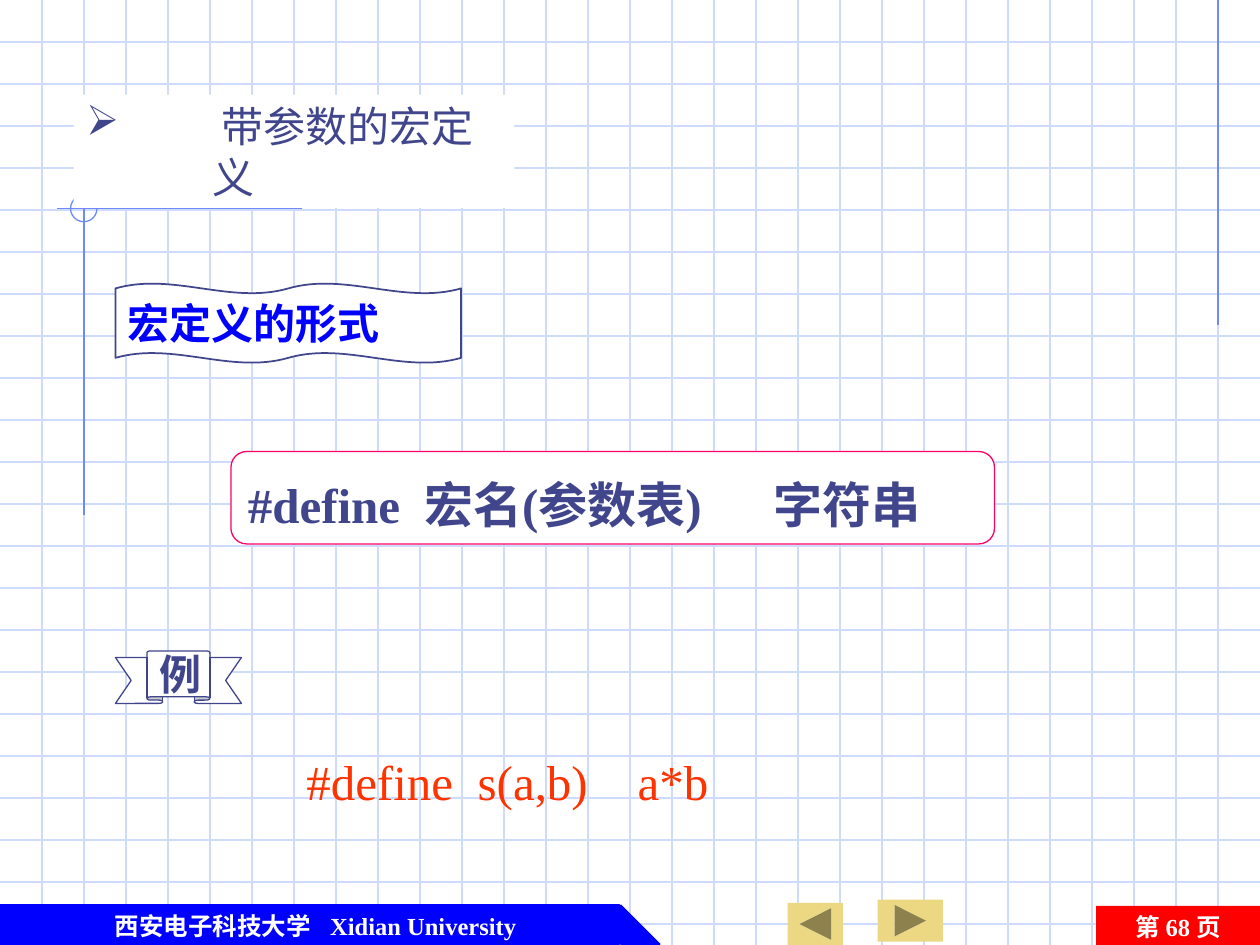
from dataclasses import dataclass

from lxml import etree
from pptx import Presentation
from pptx import util as u
from pptx.dml.color import RGBColor
from pptx.enum import shapes, text
from pptx.oxml import ns

KIND = shapes.MSO_SHAPE
COLUMNS, ROWS = 30, 22.5


@dataclass(frozen=True)
class Theme:
    ink: str = "40458C"
    paper: str = "FFFFFF"
    grid: str = "CFDBFD"
    accent: str = "6F89F7"
    blue: str = "0000FF"
    red: str = "FF0000"
    pink: str = "FF0066"
    orange: str = "FF3300"
    button: str = "ECD882"
    sans: str = "Cabin"
    serif: str = "Times New Roman"
    chinese: str = "Noto Sans CJK SC"
    small: int = 14
    medium: int = 24
    large: int = 28
    thin: float = 0.75


def write(box, content, *, theme, size, color, font, bold=False, align="LEFT",
          anchor="TOP", wrap=True, before=0, spacing=None, inset=0.1,
          bullet=None, hanging=0, tabs=()):
    """Fill a shape with one paragraph; tabs, inset and hanging are in inches."""
    frame = box.text_frame
    frame.auto_size = text.MSO_AUTO_SIZE.NONE
    frame.word_wrap = wrap
    frame.vertical_anchor = text.MSO_ANCHOR[anchor]
    frame.margin_left = u.Inches(inset)
    frame.margin_right = u.Inches(0.1)
    frame.margin_top = frame.margin_bottom = u.Inches(0.05)
    para = frame.paragraphs[0]
    para.alignment = text.PP_ALIGN[align]
    para.space_before = u.Pt(before)
    if spacing:
        para.line_spacing = spacing
    span = para.add_run()
    span.text = content
    span.font.size = u.Pt(size)
    span.font.bold = bold
    span.font.name = font
    span.font.color.rgb = RGBColor.from_string(color)
    east_asian = etree.SubElement(span.font._element, ns.qn("a:ea"))
    east_asian.set("typeface", theme.chinese)

    properties = para._p.get_or_add_pPr()
    if bullet:
        properties.set("marL", str(u.Inches(hanging)))
        properties.set("indent", str(-u.Inches(hanging)))
        paint = etree.SubElement(properties, ns.qn("a:buClr"))
        etree.SubElement(paint, ns.qn("a:srgbClr")).set("val", color)
        etree.SubElement(properties, ns.qn("a:buChar")).set("char", bullet)
    if tabs:
        stops = etree.SubElement(properties, ns.qn("a:tabLst"))
        for position in tabs:
            stop = etree.SubElement(stops, ns.qn("a:tab"))
            stop.set("pos", str(u.Inches(position)))
            stop.set("algn", "l")


class Canvas:
    """Draws on one slide, measuring in columns and rows of its grid."""

    def __init__(self, deck, theme):
        self.deck, self.theme = deck, theme
        self.page = deck.slides.add_slide(deck.slide_layouts[5])

    def x(self, columns):
        return u.Emu(round(self.deck.slide_width * columns / COLUMNS))

    def y(self, rows):
        return u.Emu(round(self.deck.slide_height * rows / ROWS))

    def area(self, left, top, width, height):
        return self.x(left), self.y(top), self.x(width), self.y(height)

    def line(self, x1, y1, x2, y2, color):
        rule = self.page.shapes.add_connector(
            shapes.MSO_CONNECTOR.STRAIGHT,
            self.x(x1), self.y(y1), self.x(x2), self.y(y2))
        rule.line.color.rgb = RGBColor.from_string(color)
        rule.line.width = u.Pt(self.theme.thin)
        etree.SubElement(rule._element.spPr, ns.qn("a:effectLst"))

    def shape(self, kind, area, fill=None, line=None, width=None, adjust=()):
        box = self.page.shapes.add_shape(kind, *self.area(*area))
        box.shadow.inherit = False
        if fill:
            box.fill.solid()
            box.fill.fore_color.rgb = RGBColor.from_string(fill)
        else:
            box.fill.background()
        if line:
            box.line.color.rgb = RGBColor.from_string(line)
            box.line.width = u.Pt(width or self.theme.thin)
        else:
            box.line.fill.background()
        for index, value in enumerate(adjust):
            box.adjustments[index] = value
        return box

    def label(self, box, content, **style):
        write(box, content, theme=self.theme, **style)

    def text_box(self, area, content, **style):
        box = self.page.shapes.add_textbox(*self.area(*area))
        self.label(box, content, **style)

    def title(self, area, content, **style):
        """Place the title placeholder in front of everything drawn so far."""
        box = self.page.shapes.title
        box.left, box.top, box.width, box.height = self.area(*area)
        box.fill.solid()
        box.fill.fore_color.rgb = RGBColor.from_string(self.theme.paper)
        self.page.shapes._spTree.append(box._element)
        self.label(box, content, **style)


def draw_background(canvas):
    theme = canvas.theme
    for row in range(1, 23):
        canvas.line(0, row, COLUMNS, row, theme.grid)
    for column in range(1, COLUMNS):
        canvas.line(column, 0, column, ROWS, theme.grid)
    canvas.line(29, 0, 29, 7.75, theme.accent)
    canvas.line(7.2, 4.97, 1.35, 4.97, theme.accent)
    canvas.line(2, 4.65, 2, 12.27, theme.accent)
    # Arc angles: 0 and 270 degrees, in units of 100000/60000 degree
    canvas.shape(KIND.ARC, (1.68, 4.65, 0.63, 0.63), line=theme.accent,
                 adjust=(0, 162))


def draw_footer(canvas):
    theme = canvas.theme
    style = dict(size=theme.small, color=theme.paper, font=theme.serif,
                 bold=True, before=8.8)
    for kind, left, width in ((KIND.RECTANGLE, 0, 14.75),
                              (KIND.RIGHT_TRIANGLE, 14.78, 0.93)):
        canvas.shape(kind, (left, 21.55, width, 0.93), theme.blue, theme.blue)
    canvas.text_box((0.87, 21.55, 13.3, 1.02),
                    "西安电子科技大学\tXidian University",
                    inset=0.62, tabs=(1.71,), **style)
    number = canvas.shape(KIND.RECTANGLE, (26.1, 21.57, 3.9, 2.4), theme.red)
    canvas.label(number, "第 68 页", align="CENTER", **style)
    for area, turn in (((20.9, 21.42, 1.55, 1), 0),
                       ((18.75, 21.5, 1.32, 1), 180)):
        button = canvas.shape(KIND.ACTION_BUTTON_FORWARD_OR_NEXT, area,
                              theme.button)
        button.rotation = turn


def draw_content(canvas):
    theme = canvas.theme
    canvas.title((1.75, 2.25, 10.5, 2.7), " 带参数的宏定义", size=theme.medium,
                 color=theme.ink, font=theme.sans, before=15,
                 bullet="➢", hanging=1)
    heading = dict(size=theme.medium, font=theme.sans, bold=True,
                   anchor="MIDDLE", wrap=False)
    wave = canvas.shape(KIND.DOUBLE_WAVE, (2.75, 6.75, 8.23, 1.89),
                        theme.paper, theme.ink, width=1)
    canvas.label(wave, "宏定义的形式", color=theme.blue, **heading)

    code = dict(size=theme.large, font=theme.serif, before=17.5)
    syntax = canvas.shape(KIND.ROUNDED_RECTANGLE, (5.5, 10.75, 18.18, 2.2),
                          theme.paper, theme.pink, adjust=(0.17,))
    canvas.label(syntax, "#define\t宏名(参数表)\t字符串", color=theme.ink,
                 bold=True, spacing=1.2, tabs=(1.4, 4.17), **code)

    ribbon = canvas.shape(KIND.UP_RIBBON, (2.75, 15.5, 3, 1.25),
                          theme.paper, theme.ink, adjust=(0.125, 0.5))
    canvas.label(ribbon, "例", color=theme.ink, **heading)
    canvas.text_box((7, 17.75, 12, 1.7), "#define\ts(a,b)\ta*b",
                    color=theme.orange, tabs=(1.36, 2.63), **code)


def main():
    deck = Presentation()
    deck.slide_width, deck.slide_height = u.Inches(10), u.Inches(7.5)
    canvas = Canvas(deck, Theme())
    draw_background(canvas)
    draw_footer(canvas)
    draw_content(canvas)
    deck.save("out.pptx")


if __name__ == "__main__":
    main()
